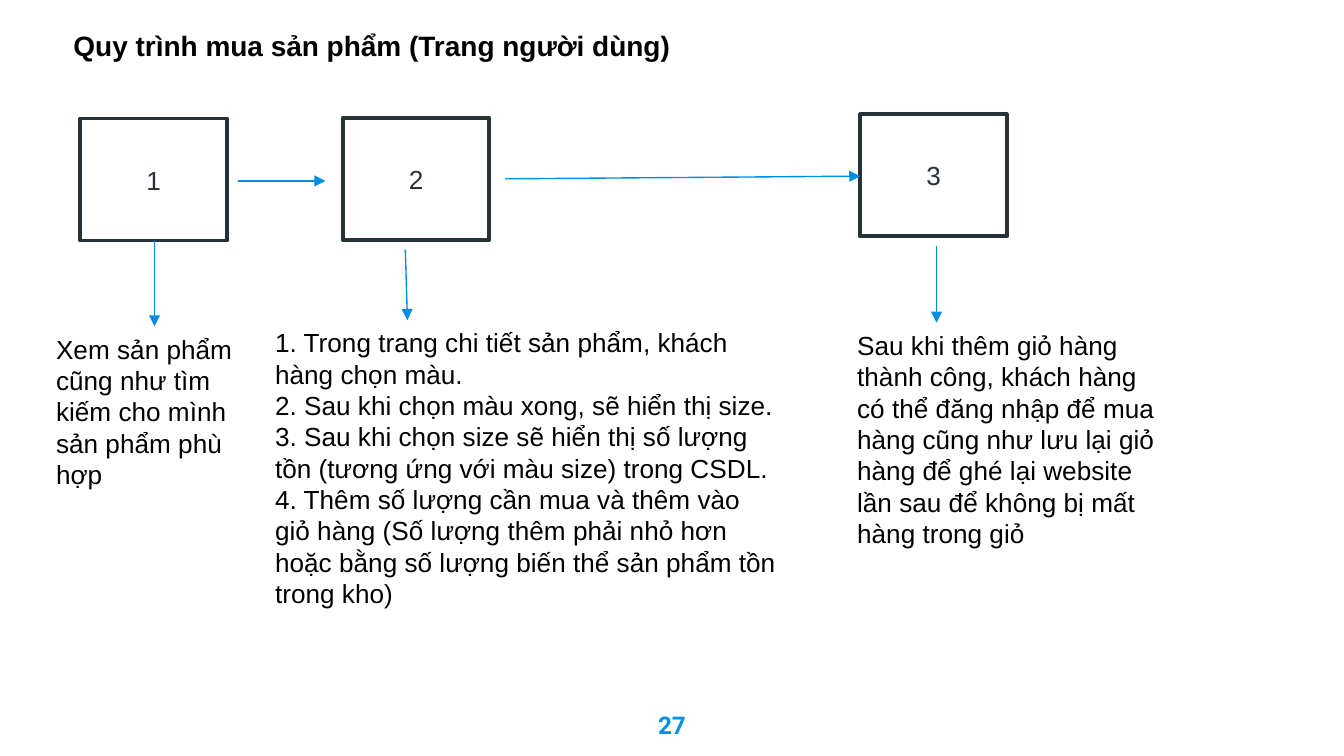
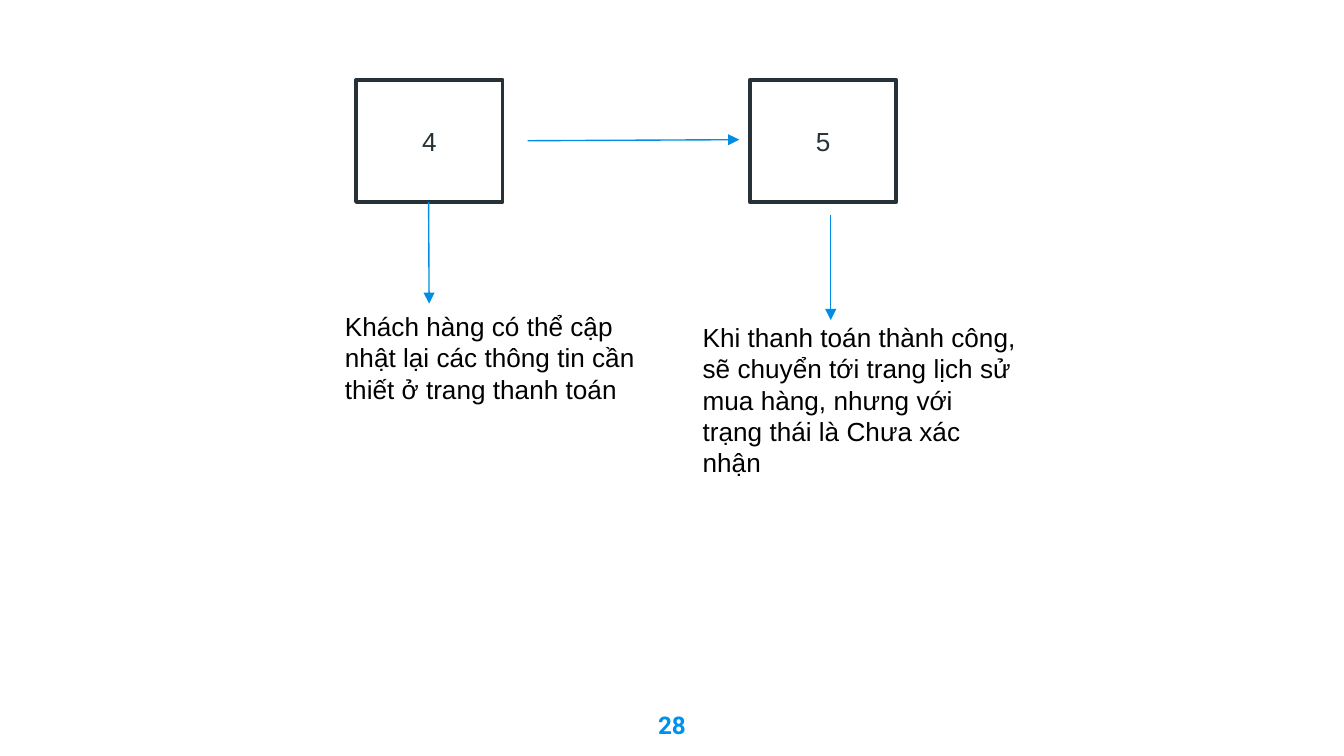
from pptx import Presentation
from pptx.dml.color import RGBColor
from pptx.enum import shapes, text
from pptx.oxml.ns import qn
from pptx.util import Cm, Pt
from lxml import etree

WHITE = RGBColor(0xFF, 0xFF, 0xFF)
BLACK = RGBColor(0, 0, 0)
DARK = RGBColor(0x26, 0x32, 0x38)
BLUE = RGBColor(0x00, 0x8E, 0xE5)
SKY = RGBColor(0x00, 0x91, 0xEA)

# Content, lengths in cm.
# Step: box corner, arrow down (from, to), note (left, top, width, height), note lines
# Link: arrow between boxes (from, to)
WIDE, HIGH = 25.4, 14.29
BOX = (2.77, 2.31)
PAGES = [
    {
        "page": 27,
        "title": "Quy trình mua sản phẩm (Trang người dùng)",
        "steps": [
            ((1.52, 2.24), (2.92, 4.55, 2.92, 6.17), (0.81, 6.17, 4.39, 3.25),
             ["Xem sản phẩm cũng như tìm kiếm cho mình sản phẩm phù hợp"]),
            ((6.48, 2.23), (7.66, 4.72, 7.7, 6.05), (4.95, 6.05, 10.03, 5.64),
             ["1. Trong trang chi tiết sản phẩm, khách hàng chọn màu.",
              "2. Sau khi chọn màu xong, sẽ hiển thị size.",
              "3. Sau khi chọn size sẽ hiển thị số lượng tồn "
              "(tương ứng với màu size) trong CSDL.",
              "4. Thêm số lượng cần mua và thêm vào giỏ hàng "
              "(Số lượng thêm phải nhỏ hơn hoặc bằng số lượng "
              "biến thể sản phẩm tồn trong kho)"]),
            ((16.26, 2.16), (17.7, 4.65, 17.7, 6.1), (15.95, 6.1, 6.43, 4.45),
             ["Sau khi thêm giỏ hàng thành công, khách hàng có thể đăng nhập "
              "để mua hàng cũng như lưu lại giỏ hàng để ghé lại website "
              "lần sau để không bị mất hàng trong giỏ"]),
        ],
        "links": [(4.5, 3.42, 6.15, 3.42), (9.55, 3.38, 16.26, 3.33)],
    },
    {
        "page": 28,
        "title": None,
        "steps": [
            ((6.73, 1.51), (8.1, 3.82, 8.11, 5.74), (6.27, 5.74, 6.43, 2.06),
             ["Khách hàng có thể cập nhật lại các thông tin cần thiết "
              "ở trang thanh toán"]),
            ((14.17, 1.51), (15.7, 4.06, 15.7, 6.05), (13.03, 5.95, 6.43, 3.25),
             ["Khi thanh toán thành công, sẽ chuyển tới trang lịch sử mua hàng, "
              "nhưng với trạng thái là Chưa xác nhận"]),
        ],
        "links": [(9.97, 2.66, 13.97, 2.64)],
    },
]


def write(frame, lines, size, color, font="Arial", bold=False, center=False):
    frame.word_wrap = True
    for i, line in enumerate(lines):
        para = frame.paragraphs[0] if i == 0 else frame.add_paragraph()
        para.alignment = text.PP_ALIGN.CENTER if center else text.PP_ALIGN.LEFT
        run = para.add_run()
        run.text = line
        run.font.size, run.font.name, run.font.bold = Pt(size), font, bold
        run.font.color.rgb = color


def label(slide, area, lines, size, color, **style):
    frame = slide.shapes.add_textbox(*map(Cm, area)).text_frame
    write(frame, lines, size, color, **style)
    return frame


def box(slide, spot, name):
    rect = slide.shapes.add_shape(shapes.MSO_SHAPE.RECTANGLE, *map(Cm, spot + BOX))
    rect.shadow.inherit = False
    rect.fill.solid()
    rect.fill.fore_color.rgb = WHITE
    rect.line.color.rgb = DARK
    rect.line.width = Pt(2)
    rect.text_frame.vertical_anchor = text.MSO_ANCHOR.MIDDLE
    write(rect.text_frame, [name], 14, DARK, center=True)


def arrow(slide, ends):
    line = slide.shapes.add_connector(shapes.MSO_CONNECTOR.STRAIGHT, *map(Cm, ends))
    line.line.color.rgb = BLUE
    line.line.width = Pt(0.75)
    etree.SubElement(line.line._get_or_add_ln(), qn("a:tailEnd"), type="triangle")
    etree.SubElement(line._element.spPr, qn("a:effectLst"))


def footer(slide, page):
    frame = label(slide, (0, 13.18, WIDE, 1.09), [str(page)], 13, SKY,
                  font="Roboto", bold=True, center=True)
    frame.margin_top = frame.margin_bottom = Cm(0.25)


def main():
    deck = Presentation()
    deck.slide_width, deck.slide_height = Cm(WIDE), Cm(HIGH)
    step = 0
    for data in PAGES:
        slide = deck.slides.add_slide(deck.slide_layouts[6])
        slide.background.fill.solid()
        slide.background.fill.fore_color.rgb = WHITE
        footer(slide, data["page"])
        if data["title"]:
            label(slide, (1.14, 0.41, 13.03, 0.89), [data["title"]], 15, BLACK, bold=True)
        # Numbered steps, each with an arrow down to its note
        for spot, down, area, lines in data["steps"]:
            step += 1
            box(slide, spot, str(step))
            arrow(slide, down)
            label(slide, area, lines, 14, BLACK)
        # Arrows from step to step
        for ends in data["links"]:
            arrow(slide, ends)
    deck.save("out.pptx")


if __name__ == "__main__":
    main()
